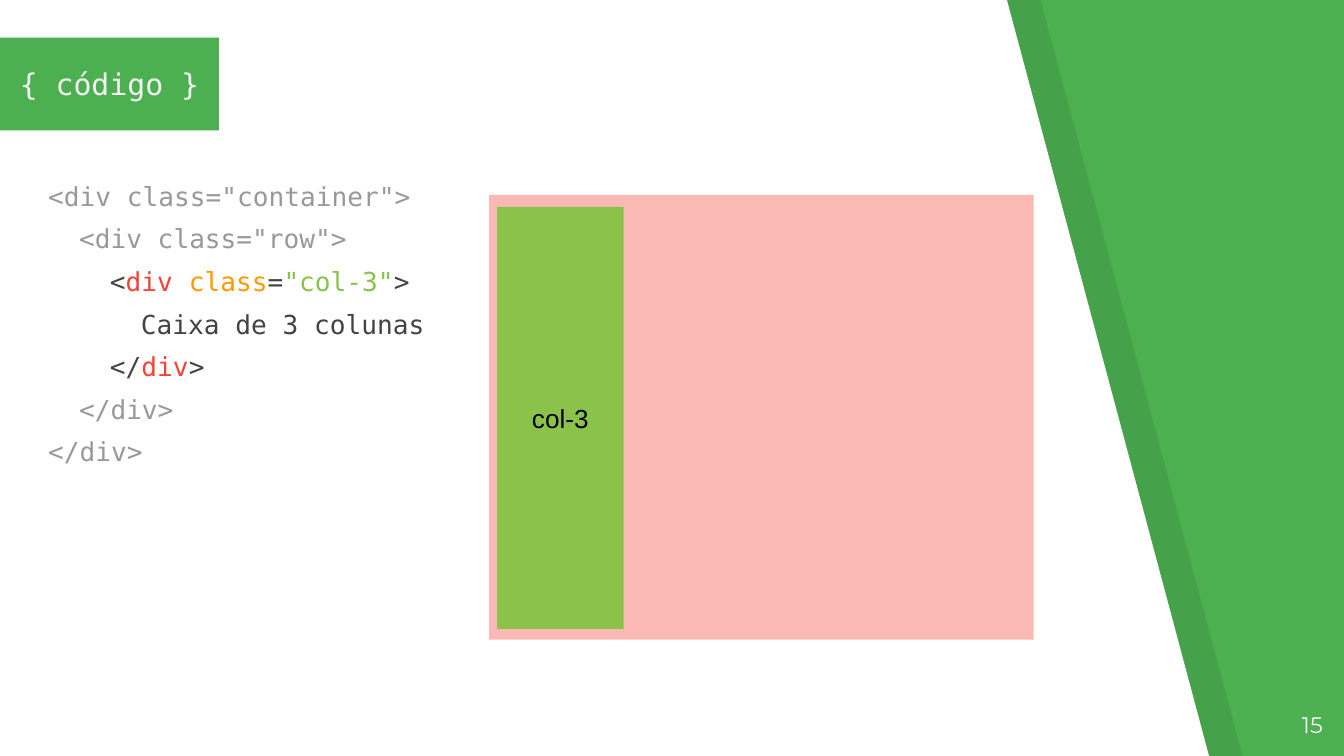
from dataclasses import dataclass

from lxml.etree import SubElement
from pptx import Presentation
from pptx.dml.color import RGBColor
from pptx.enum.shapes import MSO_SHAPE
from pptx.enum.text import MSO_ANCHOR, PP_ALIGN
from pptx.oxml.ns import qn
from pptx.util import Inches, Pt


@dataclass(frozen=True)
class Theme:
    green: str = "4CAF50"
    lime: str = "8BC34A"
    red: str = "F44336"
    orange: str = "FF9900"
    dark: str = "434343"
    gray: str = "999999"
    light: str = "F3F3F3"
    white: str = "FFFFFF"
    black: str = "000000"
    mono: str = "DejaVu Sans Mono"
    sans: str = "Arial"
    number_font: str = "Montserrat"
    title_size: int = 16
    body_size: int = 14
    number_size: int = 12
    code_gap: int = 6
    code_indent: float = 0.23
    margin: float = 0.1


class SlideBuilder:
    def __init__(self, slide, theme):
        self.slide = slide
        self.theme = theme

    def background(self, color):
        fill = self.slide.background.fill
        fill.solid()
        fill.fore_color.rgb = RGBColor.from_string(color)

    def paint(self, shape, color, opacity=100):
        shape.shadow.inherit = False
        shape.fill.solid()
        shape.fill.fore_color.rgb = RGBColor.from_string(color)
        shape.line.fill.background()
        if opacity < 100:
            color_node = shape.fill._xPr.find(qn("a:solidFill"))[0]
            SubElement(color_node, qn("a:alpha"), val=str(opacity * 1000))

    def panel(self, points, color, opacity=100):
        start, *corners = [(Inches(x), Inches(y)) for x, y in points]
        outline = self.slide.shapes.build_freeform(*start)
        outline.add_line_segments(corners, close=True)
        self.paint(outline.convert_to_shape(), color, opacity)

    def box(self, left, top, width, height, color, opacity=100):
        shape = self.slide.shapes.add_shape(
            MSO_SHAPE.RECTANGLE, *map(Inches, (left, top, width, height)))
        self.paint(shape, color, opacity)
        return shape

    def text_area(self, left, top, width, height):
        return self.slide.shapes.add_textbox(
            *map(Inches, (left, top, width, height)))

    def frame(self, shape, margin, anchor=MSO_ANCHOR.TOP):
        frame = shape.text_frame
        frame.word_wrap = True
        frame.vertical_anchor = anchor
        frame.margin_left = frame.margin_right = Inches(margin)
        frame.margin_top = frame.margin_bottom = Inches(margin)
        return frame

    def style(self, run, font, size, color):
        run.font.name = font
        run.font.size = Pt(size)
        run.font.color.rgb = RGBColor.from_string(color)

    def label(self, shape, text, font, size, color, margin,
              align=PP_ALIGN.CENTER, anchor=MSO_ANCHOR.MIDDLE):
        frame = self.frame(shape, margin, anchor)
        frame.text = text
        paragraph = frame.paragraphs[0]
        paragraph.alignment = align
        self.style(paragraph.runs[0], font, size, color)

    def code(self, area, lines):
        theme = self.theme
        frame = self.frame(area, theme.margin)
        for index, (depth, tokens) in enumerate(lines):
            paragraph = frame.add_paragraph() if index else frame.paragraphs[0]
            paragraph.space_before = Pt(theme.code_gap if index else 0)
            indent = Inches(depth * theme.code_indent)
            paragraph._p.get_or_add_pPr().set("marL", str(indent))
            for text, color in tokens:
                run = paragraph.add_run()
                run.text = text
                self.style(run, theme.mono, theme.body_size, color)


def main():
    deck = Presentation()
    deck.slide_width, deck.slide_height = Inches(10), Inches(5.625)
    theme = Theme()
    page = SlideBuilder(deck.slides.add_slide(deck.slide_layouts[6]), theme)

    # Green backdrop, slanted shade and white content panel
    page.background(theme.green)
    for offset, color, opacity in ((0.25, theme.black, 7), (0, theme.white, 100)):
        page.panel([(offset, -0.01), (offset, 5.64),
                    (offset + 9, 5.64), (offset + 7.49, -0.01)], color, opacity)

    # Page number
    page_number = page.text_area(9.34, 5.19, 0.6, 0.43)
    page.label(page_number, "15", theme.number_font, theme.number_size,
               theme.white, theme.margin, PP_ALIGN.RIGHT, MSO_ANCHOR.TOP)

    # Title tag
    title_tag = page.box(0, 0.28, 1.63, 0.69, theme.green)
    page.label(title_tag, "{ código }", theme.mono, theme.title_size,
               theme.light, theme.margin)

    # Code listing: nesting depth and coloured tokens of each line
    page.code(page.text_area(0.26, 1.24, 5.52, 4.05), [
        (0, [('<div class="container">', theme.gray)]),
        (1, [('<div class="row">', theme.gray)]),
        (2, [("<", theme.dark), ("div ", theme.red), ("class", theme.orange),
             ("=", theme.dark), ('"col-3"', theme.lime), (">", theme.dark)]),
        (3, [("Caixa de 3 colunas", theme.dark)]),
        (2, [("</", theme.dark), ("div", theme.red), (">", theme.dark)]),
        (1, [("</div>", theme.gray)]),
        (0, [("</div>", theme.gray)]),
    ])

    # Grid preview: container with a three-column box
    page.box(3.64, 1.45, 4.05, 3.31, theme.red, 37)
    column = page.box(3.7, 1.54, 0.94, 3.14, theme.lime)
    page.label(column, "col-3", theme.sans, theme.body_size, theme.black, 0)

    deck.save("out.pptx")


if __name__ == "__main__":
    main()
